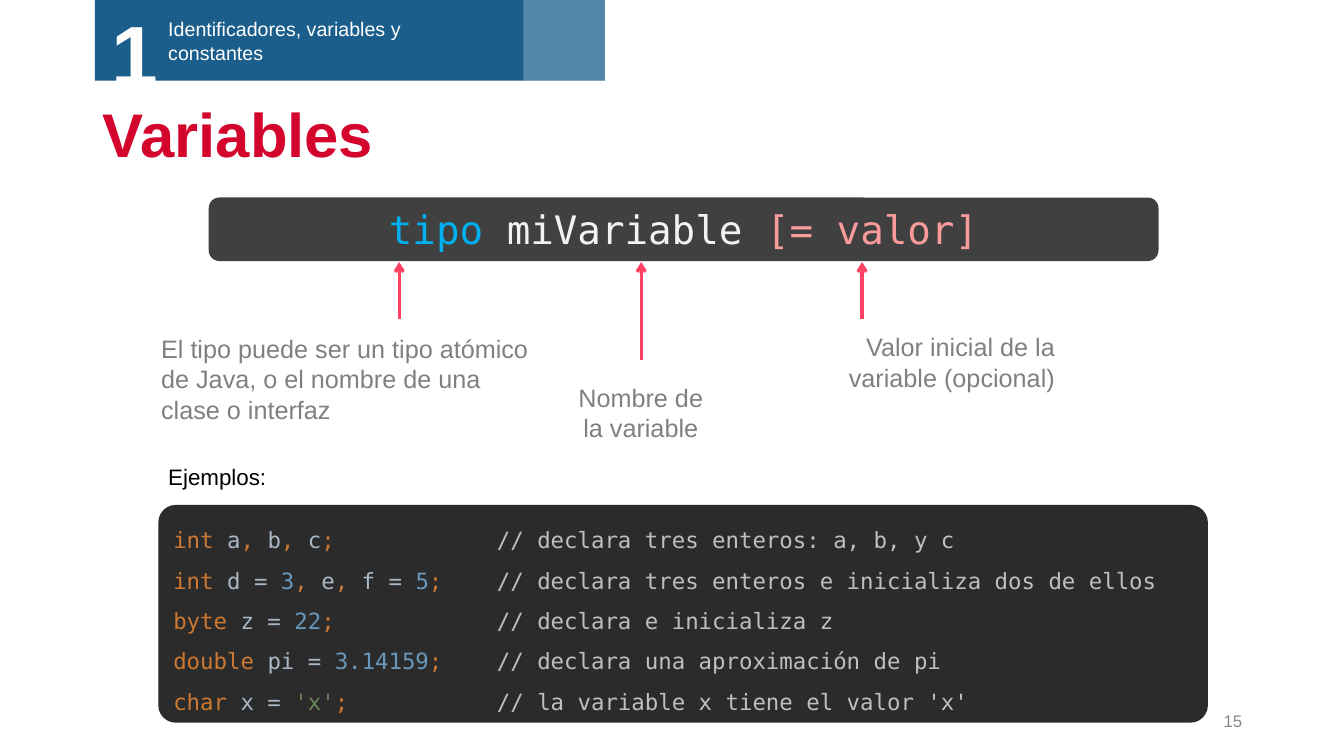
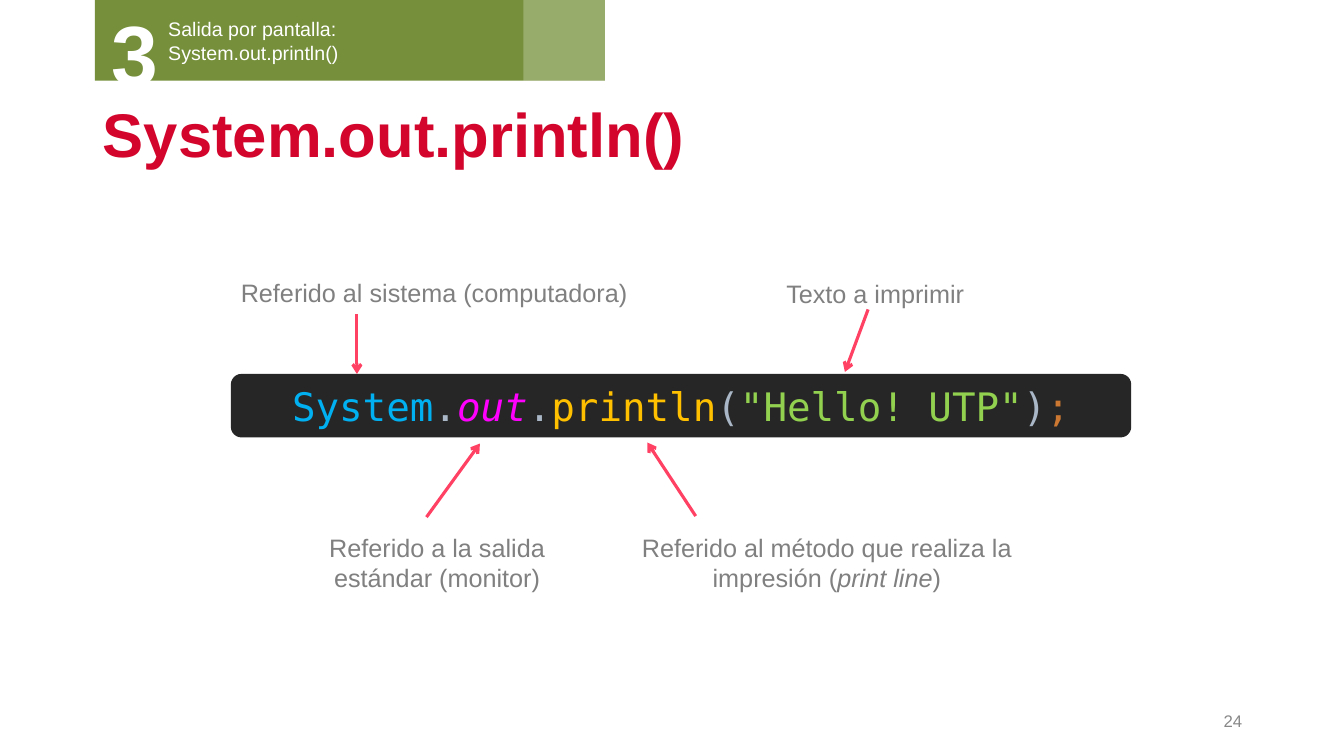
from lxml import etree
from pptx import Presentation
from pptx.dml.color import RGBColor
from pptx.enum.shapes import MSO_CONNECTOR, MSO_SHAPE
from pptx.enum.text import MSO_ANCHOR, MSO_AUTO_SIZE, PP_ALIGN
from pptx.oxml.ns import qn
from pptx.util import Emu, Pt

PX = 9144  # 100 px to the inch
RECT, ROUNDED = MSO_SHAPE.RECTANGLE, MSO_SHAPE.ROUNDED_RECTANGLE
STRAIGHT = MSO_CONNECTOR.STRAIGHT
LEFT, CENTER, RIGHT = PP_ALIGN.LEFT, PP_ALIGN.CENTER, PP_ALIGN.RIGHT
TOP, MIDDLE = MSO_ANCHOR.TOP, MSO_ANCHOR.MIDDLE
NO_AUTOFIT = MSO_AUTO_SIZE.NONE

SANS, MONO = "Arial", "DejaVu Sans Mono"
WHITE, BLACK, RED, ARROW = "FFFFFF", "000000", "D3052C", "FF4164"
NOTE, PAGE = "808080", "888888"
BLUE_BAND, GREEN_BAND = "1B5E8B", "758F3A"
KEYWORD, NAME, NUMBER = "CC7832", "A9B7C6", "6897BB"
STRING, COMMENT = "6A8759", "BFBFBF"
CYAN = "00B0F0"
COMMENT_TAB = 321

EXAMPLES = [
    [("int ", KEYWORD), ("a", NAME), (", ", KEYWORD), ("b", NAME),
     (", ", KEYWORD), ("c", NAME), (";\t", KEYWORD),
     ("// declara tres enteros: a, b, y c", COMMENT)],
    [("int ", KEYWORD), ("d = ", NAME), ("3", NUMBER), (", ", KEYWORD),
     ("e", NAME), (", ", KEYWORD), ("f = ", NAME), ("5", NUMBER),
     (";\t", KEYWORD),
     ("// declara tres enteros e inicializa dos de ellos", COMMENT)],
    [("byte ", KEYWORD), ("z = ", NAME), ("22", NUMBER), (";\t", KEYWORD),
     ("// declara e inicializa z", COMMENT)],
    [("double ", KEYWORD), ("pi = ", NAME), ("3.14159", NUMBER),
     (";\t", KEYWORD), ("// declara una aproximación de pi", COMMENT)],
    [("char ", KEYWORD), ("x = ", NAME), ("'x'", STRING), (";\t", KEYWORD),
     ("// la variable x tiene el valor 'x'", COMMENT)],
]


def px(*values):
    return [Emu(v * PX) for v in values]


def rgb(value):
    return RGBColor.from_string(value)


def add_run(p, text, size, color, font=SANS, bold=False, italic=False):
    r = p.add_run()
    r.text = text
    r.font.name, r.font.size = font, Pt(size)
    r.font.bold, r.font.italic = bold, italic
    r.font.color.rgb = rgb(color)


def add_text(slide, box, text, size, color, align=LEFT, anchor=TOP,
             bold=False, wrap=True):
    """Add a text box and return its paragraph."""
    tf = slide.shapes.add_textbox(*px(*box)).text_frame
    tf.word_wrap, tf.vertical_anchor = wrap, anchor
    p = tf.paragraphs[0]
    p.alignment = align
    add_run(p, text, size, color, bold=bold)
    return p


def add_panel(slide, kind, box, fill):
    sp = slide.shapes.add_shape(kind, *px(*box))
    sp.shadow.inherit = False
    sp.fill.solid()
    sp.fill.fore_color.rgb = rgb(fill)
    sp.line.fill.background()
    return sp


def add_code_line(slide, box, fill, tokens):
    """Add a rounded bar with one centred line of (text, colour, italic)."""
    tf = add_panel(slide, ROUNDED, box, fill).text_frame
    tf.vertical_anchor = MIDDLE
    p = tf.paragraphs[0]
    p.alignment = CENTER
    for text, color, italic in tokens:
        add_run(p, text, 28, color, MONO, italic=italic)


def add_code_block(slide, box, fill, lines):
    """Add a rounded panel of code whose comments start at one tab stop."""
    sp = add_panel(slide, ROUNDED, box, fill)
    sp.adjustments[0] = 0.08
    tf = sp.text_frame
    tf.word_wrap, tf.vertical_anchor = True, MIDDLE
    for i, tokens in enumerate(lines):
        p = tf.add_paragraph() if i else tf.paragraphs[0]
        p.alignment, p.line_spacing = LEFT, 1.5
        tabs = etree.SubElement(p._p.get_or_add_pPr(), qn("a:tabLst"))
        etree.SubElement(tabs, qn("a:tab"), pos=str(COMMENT_TAB * PX), algn="l")
        for text, color in tokens:
            add_run(p, text, 16, color, MONO)


def add_note(slide, box, text, align=LEFT, wrap=True):
    return add_text(slide, box, text, 18, NOTE, align, wrap=wrap)


def add_arrow(slide, x1, y1, x2, y2):
    line = slide.shapes.add_connector(STRAIGHT, *px(x1, y1, x2, y2))
    line.line.color.rgb = rgb(ARROW)
    line.line.width = Pt(2.25)
    etree.SubElement(line.line._get_or_add_ln(), qn("a:tailEnd"), type="arrow")
    etree.SubElement(line._element.spPr, qn("a:effectLst"))


def add_section_band(slide, number, section, color):
    add_panel(slide, RECT, (94, 0, 506, 80), color)
    add_text(slide, (157, 12, 275, 57), section, 14, WHITE)
    add_text(slide, (101, -3, 112, 111), number, 60, WHITE, bold=True)
    veil = add_panel(slide, RECT, (519, 0, 81, 80), WHITE)
    fill_color = veil._element.spPr.find(qn("a:solidFill"))[0]
    etree.SubElement(fill_color, qn("a:alpha"), val="25000")


def new_slide(prs, title, page, number, section, color):
    slide = prs.slides.add_slide(prs.slide_layouts[5])
    sp = slide.shapes.title
    sp.left, sp.top, sp.width, sp.height = px(92, 93, 1150, 86)
    tf = sp.text_frame
    tf.auto_size, tf.vertical_anchor = NO_AUTOFIT, MIDDLE
    p = tf.paragraphs[0]
    p.alignment, p.line_spacing = LEFT, 0.9
    add_run(p, title, 44, RED, bold=True)
    add_text(slide, (942, 695, 300, 40), page, 12, PAGE, RIGHT, MIDDLE)
    add_section_band(slide, number, section, color)
    return slide


def add_variables_slide(prs):
    slide = new_slide(prs, "Variables", "15", "1",
                      "Identificadores, variables y constantes", BLUE_BAND)
    add_code_line(slide, (207, 196, 942, 63), "404040", [
        ("tipo ", CYAN, False), ("miVariable ", "F2F2F2", False),
        ("[= valor]", "FA9B9B", False)])
    add_note(slide, (150, 326, 387, 101),
             "El tipo puede ser un tipo atómico de Java, "
             "o el nombre de una clase o interfaz")
    add_note(slide, (555, 374, 161, 71), "Nombre de la variable", CENTER)
    add_note(slide, (797, 324, 259, 71),
             "Valor inicial de la variable (opcional)", RIGHT)
    for x, start in ((396, 316), (636, 357), (855, 316)):
        add_arrow(slide, x, start, x, 260)
    add_text(slide, (157, 455, 200, 37), "Ejemplos:", 16, BLACK)
    add_code_block(slide, (157, 501, 1041, 216), "2B2B2B", EXAMPLES)


def add_println_slide(prs):
    slide = new_slide(prs, "System.out.println()", "24", "3",
                      "Salida por pantalla: System.out.println()", GREEN_BAND)
    add_code_line(slide, (229, 371, 893, 63), "262626", [
        ("System", CYAN, False), (".", NAME, False), ("out", "FF00FF", True),
        (".", NAME, False), ("println", "FFC000", False), ("(", NAME, False),
        ('"Hello! UTP"', "92D050", False), (")", NAME, False),
        (";", KEYWORD, False)])
    add_note(slide, (229, 270, 407, 40), "Referido al sistema (computadora)",
             wrap=False)
    add_note(slide, (770, 271, 201, 40), "Texto a imprimir", wrap=False)
    add_note(slide, (283, 523, 301, 71),
             "Referido a la salida estándar (monitor)", CENTER)
    p = add_note(slide, (624, 523, 392, 71),
                 "Referido al método que realiza la impresión (", CENTER)
    add_run(p, "print line", 18, NOTE, italic=True)
    add_run(p, ")", 18, NOTE)
    for ends in ((354, 312, 354, 371), (423, 513, 476, 440),
                 (690, 512, 642, 439), (861, 307, 838, 369)):
        add_arrow(slide, *ends)


def main():
    prs = Presentation()
    prs.slide_width, prs.slide_height = px(1333, 750)
    add_variables_slide(prs)
    add_println_slide(prs)
    prs.save("out.pptx")


if __name__ == "__main__":
    main()
